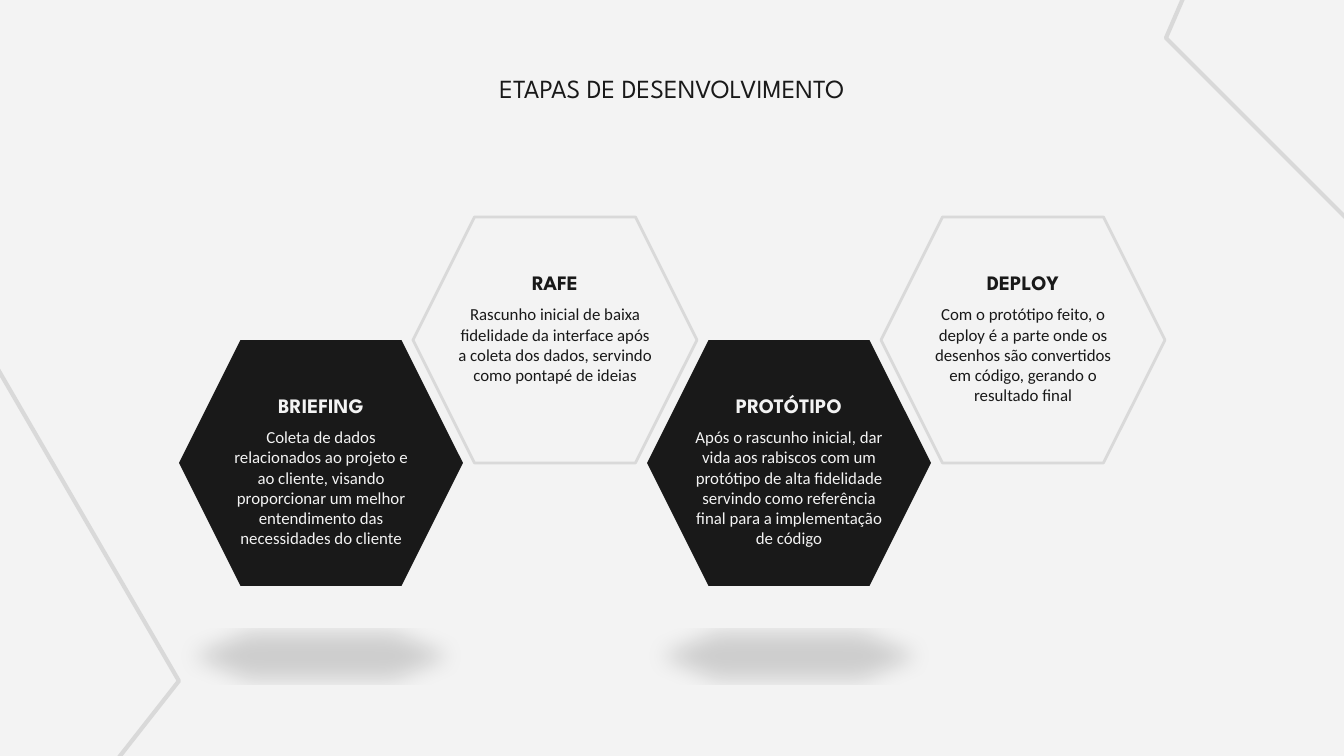
from lxml import etree
from pptx import Presentation
from pptx.dml.color import RGBColor
from pptx.enum.shapes import MSO_SHAPE as Shape
from pptx.enum.text import MSO_ANCHOR as Anchor, MSO_AUTO_SIZE as Auto, PP_ALIGN as Align
from pptx.oxml import parse_xml
from pptx.oxml.ns import nsdecls, qn
from pptx.util import Emu, Pt

DARK, PALE, GREY = "191919", "F3F3F3", "D9D9D9"
HEAD, BODY = "League Spartan", "Calibri"
LEFT, STEP, LOW, HIGH = 179, 234, 340, 217
STAGES = [
    ("BRIEFING", "Coleta de dados relacionados ao projeto e ao cliente, visando "
     "proporcionar um melhor entendimento das necessidades do cliente"),
    ("RAFE", "Rascunho inicial de baixa fidelidade da interface após a coleta "
     "dos dados, servindo como pontapé de ideias"),
    ("PROTÓTIPO", "Após o rascunho inicial, dar vida aos rabiscos com um protótipo "
     "de alta fidelidade servindo como referência final para a implementação de código"),
    ("DEPLOY", "Com o protótipo feito, o deploy é a parte onde os desenhos são "
     "convertidos em código, gerando o resultado final"),
]
CORNERS = [
    [(-26, 328), (179, 681), (51, 844)],
    [(1455, 327), (1166, 38), (1248, -152)],
]
SHADOW = (
    f'<a:effectLst {nsdecls("a")}><a:outerShdw blurRad="152400" dist="317500" '
    'dir="5400000" sx="90000" sy="-19000" rotWithShape="0"><a:srgbClr val="000000">'
    '<a:alpha val="15000"/></a:srgbClr></a:outerShdw></a:effectLst>'
)


def px(n):
    return Emu(round(n * 914400 / 134.4))


def tint(code):
    return RGBColor.from_string(code)


def write(box, text, font=BODY, size=9, color=DARK, bold=False, anchor=Anchor.TOP):
    frame = box.text_frame
    frame.text = text
    frame.word_wrap = True
    frame.auto_size = Auto.NONE
    frame.vertical_anchor = anchor
    frame.margin_left = frame.margin_right = px(13)
    frame.margin_top = frame.margin_bottom = px(13)
    para = frame.paragraphs[0]
    para.alignment = Align.CENTER
    face = para.runs[0].font
    face.name, face.size, face.bold = font, Pt(size), bold
    face.color.rgb = tint(color)


class Deck:
    """Holds the style and the current slide."""

    def __init__(self):
        self.show = Presentation()
        self.show.slide_width, self.show.slide_height = px(1344), px(756)
        self.slide = self.show.slides.add_slide(self.show.slide_layouts[5])
        self.shapes = self.slide.shapes
        fill = self.slide.background.fill
        fill.solid()
        fill.fore_color.rgb = tint(PALE)

    def title(self, text):
        box = self.shapes.title
        box.left, box.top, box.width, box.height = map(px, (453, 59, 438, 101))
        write(box, text, font=HEAD, size=14)

    def trim(self, shape, width):
        shape.shadow.inherit = False
        shape.fill.background()
        shape.line.color.rgb = tint(GREY)
        shape.line.width = Pt(width)

    def corner(self, points):
        pen = self.shapes.build_freeform(*map(px, points[0]), scale=1.0)
        pen.add_line_segments([tuple(map(px, spot)) for spot in points[1:]], close=False)
        self.trim(pen.convert_to_shape(), 2.25)

    def hexagon(self, x, y, solid):
        shape = self.shapes.add_shape(Shape.HEXAGON, *map(px, (x, y, 284, 246)))
        shape.adjustments[0] = 0.25
        self.trim(shape, 1.5)
        if solid:
            shape.fill.solid()
            shape.fill.fore_color.rgb = tint(DARK)
            shape.line.fill.background()
            props = shape.element.spPr
            props.replace(props.find(qn("a:effectLst")), parse_xml(SHADOW))

    def label(self, x, y, w, h, text, **style):
        write(self.shapes.add_textbox(*map(px, (x, y, w, h))), text, **style)

    def stage(self, x, y, name, text, solid):
        color = PALE if solid else DARK
        self.hexagon(x, y, solid)
        self.label(x + 66, y + 43, 152, 48, name, font=HEAD, size=11,
                   color=color, bold=True, anchor=Anchor.BOTTOM)
        self.label(x + 32, y + 74, 220, 142, text, color=color)


def main():
    deck = Deck()
    deck.title("ETAPAS DE DESENVOLVIMENTO")
    for points in CORNERS:
        deck.corner(points)
    for i, (name, text) in enumerate(STAGES):
        solid = i % 2 == 0
        deck.stage(LEFT + i * STEP, LOW if solid else HIGH, name, text, solid)
    deck.show.save("out.pptx")


if __name__ == "__main__":
    main()
